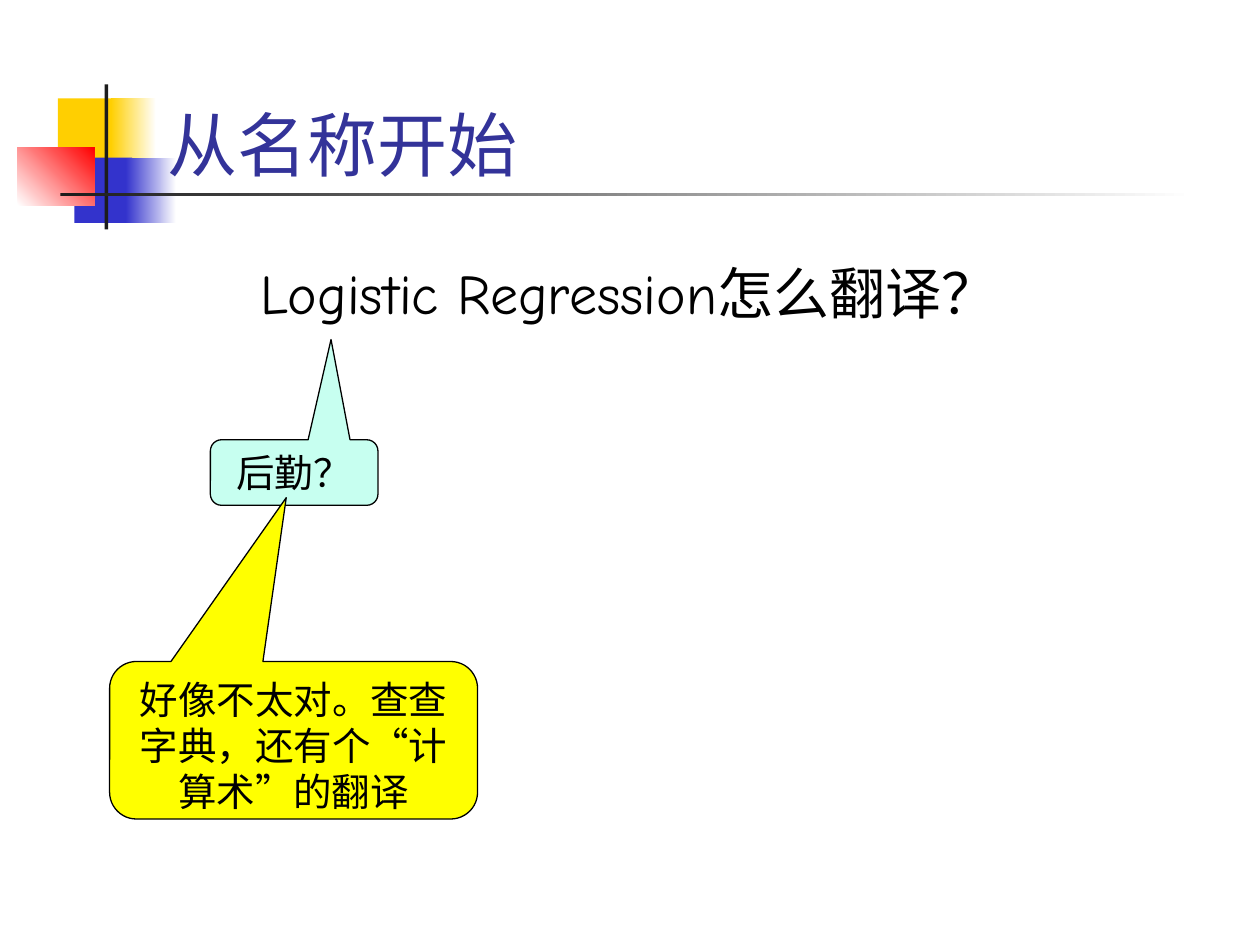
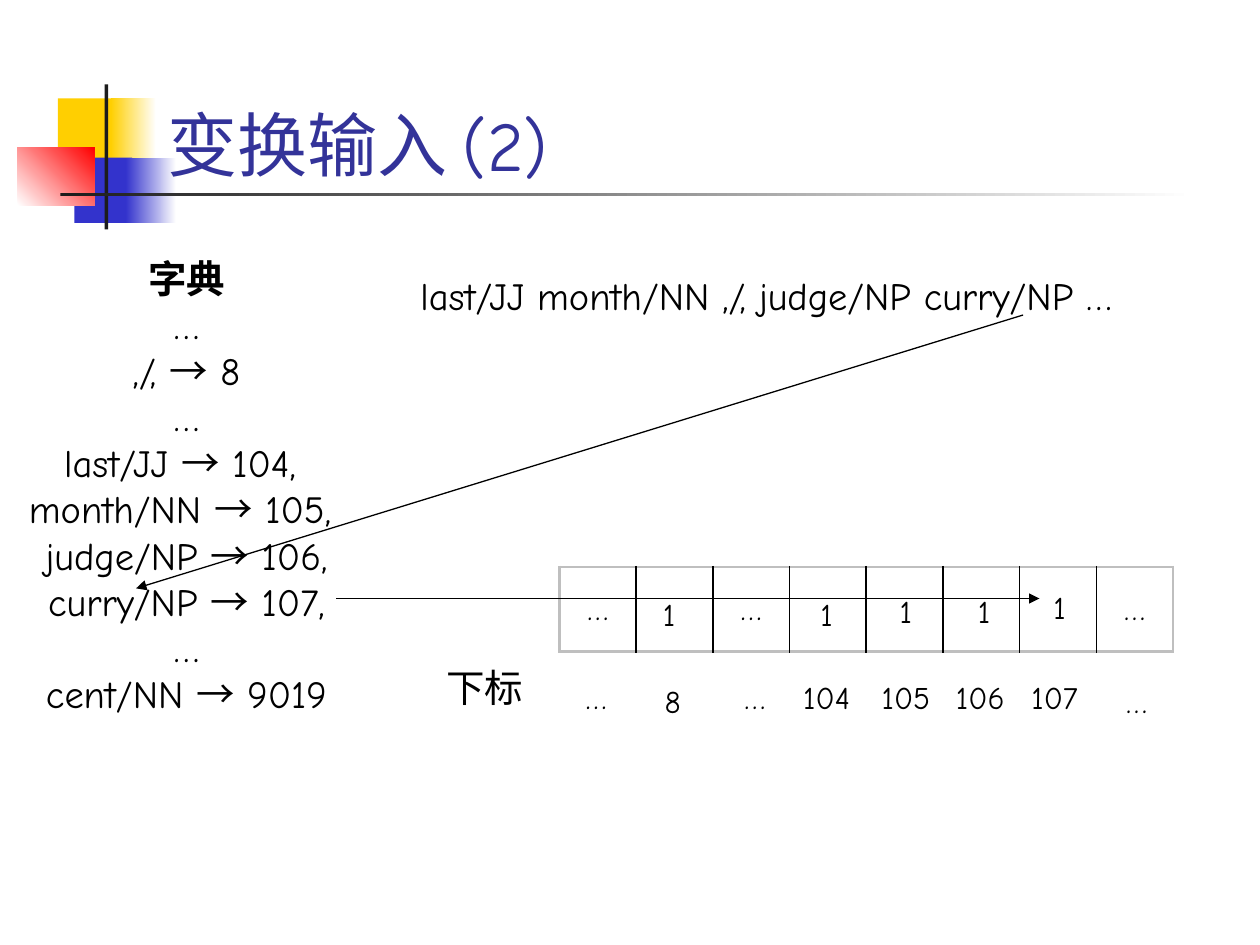
import copy
from dataclasses import dataclass
from typing import Any, Optional

import lxml.etree
import pptx
import pptx.dml.color
import pptx.enum.shapes
import pptx.enum.text
import pptx.oxml.ns
import pptx.util

Inches = pptx.util.Inches
Pt = pptx.util.Pt
RGBColor = pptx.dml.color.RGBColor
Kind = pptx.enum.shapes.MSO_SHAPE
Align = pptx.enum.text.PP_ALIGN
Anchor = pptx.enum.text.MSO_ANCHOR
qn = pptx.oxml.ns.qn

# Colours and fonts
WHITE = RGBColor(0xFF, 0xFF, 0xFF)
BLACK = RGBColor(0, 0, 0)
INK = RGBColor(0x1C, 0x1C, 0x1C)
GREY = RGBColor(0xBF, 0xBF, 0xBF)
GOLD = RGBColor(0xFF, 0xCF, 0x01)
BLUE = RGBColor(0x33, 0x33, 0xCC)
NAVY = RGBColor(0x33, 0x33, 0x99)
RED = RGBColor(0xFF, 0, 0)
MINT = RGBColor(0xC7, 0xFF, 0xF0)
YELLOW = RGBColor(0xFF, 0xFF, 0)
COMIC = "Comic Neue"
HAN = "Noto Sans CJK SC"
ARROW = "→"
LEAD = 1.2  # line height as a share of the text size


@dataclass
class Box:
    left: float
    top: float
    width: float
    height: float

    def place(self) -> tuple:
        return tuple(Inches(v) for v in (self.left, self.top, self.width, self.height))


@dataclass
class Band:
    box: Box
    start: RGBColor
    end: Optional[RGBColor] = None
    angle: float = 0


@dataclass
class Callout:
    box: Box
    fill: RGBColor
    tip: tuple
    text: str


@dataclass
class Label:
    left: float
    top: float
    text: str


@dataclass
class Arrow:
    start: tuple
    end: tuple


BANDS = [
    Band(Box(0.46, 0.78, 0.48, 0.52), GOLD),
    Band(Box(0.88, 0.78, 0.36, 0.52), GOLD, WHITE),
    Band(Box(0.59, 1.25, 0.46, 0.52), BLUE),
    Band(Box(1, 1.25, 0.4, 0.52), BLUE, WHITE),
    Band(Box(0.14, 1.17, 0.61, 0.46), WHITE, RED, 45),
    Band(Box(0.83, 0.67, 0.03, 1.15), INK),
    Band(Box(0.48, 1.53, 9, 0.03), INK, WHITE),
]
CALLOUTS = [
    Callout(Box(1.67, 3.49, 1.33, 0.52), MINT, (0.22, -2.03, 0.17), "后勤？"),
    Callout(Box(0.87, 5.25, 2.92, 1.25), YELLOW, (-0.02, -1.54, 0.17),
            "好像不太对。查查字典，还有个“计算术”的翻译"),
]
WORDS = ["字典", "…", ",/, → 8", "…", "last/JJ → 104, ", "month/NN → 105, ",
         "judge/NP → 106,", "curry/NP → 107,", "…", "cent/NN → 9019"]
CELLS = ["…", "", "…", "", "", "", "", "…"]
INDEX = [
    Label(6.25, 5.33, "104"), Label(6.88, 5.33, "105"), Label(7.47, 5.33, "106"),
    Label(8.06, 5.33, "107"), Label(5.03, 5.36, "8"), Label(4.42, 5.33, "…"),
    Label(5.68, 5.33, "…"), Label(8.71, 5.36, "…"),
]
ONES = [Label(x, y, "1") for x, y in
        ((6.25, 4.67), (6.88, 4.65), (5, 4.67), (7.5, 4.65), (8.1, 4.62))]
ARROWS = [Arrow((8.12, 2.5), (1.08, 4.67)), Arrow((2.67, 4.75), (8.25, 4.75))]


def apply(item: Any, values: dict) -> None:
    for name, value in values.items():
        setattr(item, name, value)


# Text
def add_run(para: Any, text: str, size: float, color: RGBColor,
            font: str = COMIC, bold: bool = False) -> None:
    run = para.add_run()
    run.text = text
    apply(run.font, {"size": Pt(size), "name": font, "bold": bold})
    run.font.color.rgb = color
    east = HAN if any("一" <= c <= "鿿" for c in text) else font
    mark = lxml.etree.SubElement(run.font._element, qn("a:ea"))
    mark.set("typeface", east)


def write(para: Any, text: str, size: float, color: RGBColor = BLACK,
          align: Any = Align.CENTER, bold: bool = False) -> None:
    apply(para, {"alignment": align, "line_spacing": Pt(size * LEAD),
                 "space_before": Pt(0)})
    head, sign, tail = text.partition(ARROW)
    for part, font in ((head, COMIC), (sign, HAN), (tail, COMIC)):
        if part:
            add_run(para, part, size, color, font, bold)


def add_text(slide: Any, box: Box, text: str, size: float) -> None:
    frame = slide.shapes.add_textbox(*box.place()).text_frame
    frame.word_wrap = True
    write(frame.paragraphs[0], text, size)


def add_labels(slide: Any, labels: list) -> None:
    for label in labels:
        add_text(slide, Box(label.left, label.top, 0.62, 0.42), label.text, 18)


# Shapes
def add_band(slide: Any, band: Band) -> None:
    shape = slide.shapes.add_shape(Kind.RECTANGLE, *band.box.place())
    shape.shadow.inherit = False
    shape.line.fill.background()
    if band.end is None:
        shape.fill.solid()
        shape.fill.fore_color.rgb = band.start
        return
    shape.fill.gradient()
    shape.fill.gradient_angle = band.angle
    for stop, color, place in zip(shape.fill.gradient_stops,
                                  (band.start, band.end), (0, 1)):
        stop.color.rgb = color
        stop.position = place


def add_callout(slide: Any, call: Callout) -> None:
    shape = slide.shapes.add_shape(Kind.ROUNDED_RECTANGULAR_CALLOUT, *call.box.place())
    shape.shadow.inherit = False
    for i, value in enumerate(call.tip):
        shape.adjustments[i] = value
    shape.fill.solid()
    shape.fill.fore_color.rgb = call.fill
    shape.line.color.rgb = BLACK
    shape.line.width = Pt(0.75)
    apply(shape.text_frame, {"word_wrap": True, "vertical_anchor": Anchor.TOP,
                             "margin_left": Inches(0.12), "margin_right": Inches(0.12)})
    write(shape.text_frame.paragraphs[0], call.text, 22)


def add_arrow(slide: Any, arrow: Arrow) -> None:
    ends = [Inches(v) for v in arrow.start + arrow.end]
    line = slide.shapes.add_connector(pptx.enum.shapes.MSO_CONNECTOR.STRAIGHT, *ends)
    line.line.color.rgb = BLACK
    line.line.width = Pt(0.75)
    tip = lxml.etree.SubElement(line.line._get_or_add_ln(), qn("a:tailEnd"))
    tip.set("type", "triangle")
    lxml.etree.SubElement(line._element.spPr, qn("a:effectLst"))


# Table
def edge(cell: Any, side: str, color: RGBColor, width: float) -> None:
    line = lxml.etree.Element(qn("a:" + side), w=str(Pt(width)))
    fill = lxml.etree.SubElement(line, qn("a:solidFill"))
    lxml.etree.SubElement(fill, qn("a:srgbClr"), val=str(color))
    cell._tc.get_or_add_tcPr().append(line)


def add_vector(slide: Any, box: Box, texts: list) -> None:
    count = len(texts)
    table = slide.shapes.add_table(1, count, *box.place()).table
    apply(table, {"first_row": False, "horz_banding": False})
    for i, text in enumerate(texts):
        table.columns[i].width = Inches(box.width / count)
        cell = table.cell(0, i)
        cell.vertical_anchor = Anchor.MIDDLE
        outer, inner = (GREY, 1.5), (BLACK, 1)
        edge(cell, "lnL", *(outer if i == 0 else inner))
        edge(cell, "lnR", *(outer if i == count - 1 else inner))
        for side in ("lnT", "lnB"):
            edge(cell, side, *outer)
        cell.fill.background()
        if text:
            write(cell.text_frame.paragraphs[0], text, 18)


# Slides
def new_slide(deck: Any, layout: int, title: str) -> Any:
    slide = deck.slides.add_slide(deck.slide_layouts[layout])
    slide.background.fill.solid()
    slide.background.fill.fore_color.rgb = WHITE
    for band in BANDS:
        add_band(slide, band)
    head = slide.shapes.title
    slide.shapes._spTree.append(head._element)  # title above the bands
    move(head, Box(1.23, 0.5, 8.52, 1))
    apply(head.text_frame, {"vertical_anchor": Anchor.BOTTOM,
                            "margin_bottom": Inches(0.03)})
    write(head.text_frame.paragraphs[0], title, 40, NAVY, Align.LEFT)
    return slide


def move(shape: Any, box: Box) -> None:
    apply(shape, dict(zip(("left", "top", "width", "height"), box.place())))


def add_list(slide: Any, box: Box, lines: list) -> None:
    body = slide.placeholders[1]
    move(body, box)
    frame = body.text_frame
    apply(frame, {"word_wrap": True, "vertical_anchor": Anchor.TOP,
                  "auto_size": pptx.enum.text.MSO_AUTO_SIZE.NONE})
    for i, text in enumerate(lines):
        para = frame.add_paragraph() if i else frame.paragraphs[0]
        write(para, text, 22, bold=i == 0)
        props = para._p.get_or_add_pPr()
        props.set("marL", "0")
        props.set("indent", "0")
        lxml.etree.SubElement(props, qn("a:buNone"))


def name_slide(deck: Any) -> None:
    slide = new_slide(deck, 5, "从名称开始")
    add_text(slide, Box(0.58, 2, 8.83, 0.64), "Logistic Regression怎么翻译？", 32)
    for call in CALLOUTS:
        add_callout(slide, call)


def input_slide(deck: Any) -> None:
    slide = new_slide(deck, 1, "变换输入 (2)")
    add_list(slide, Box(0, 1.97, 2.96, 3.8), WORDS)
    add_text(slide, Box(2.67, 2.11, 6.92, 0.47),
             "last/JJ month/NN ,/, judge/NP curry/NP … ", 22)
    add_text(slide, Box(3.25, 5.22, 1.19, 0.47), "下标", 22)
    add_vector(slide, Box(4.44, 4.5, 4.87, 0.67), CELLS)
    add_labels(slide, INDEX)
    for arrow in ARROWS:
        add_arrow(slide, arrow)
    add_labels(slide, ONES)


def main() -> None:
    deck = pptx.Presentation()
    apply(deck, {"slide_width": Inches(10), "slide_height": Inches(7.5)})
    name_slide(deck)
    input_slide(deck)
    deck.save("out.pptx")


if __name__ == "__main__":
    main()
